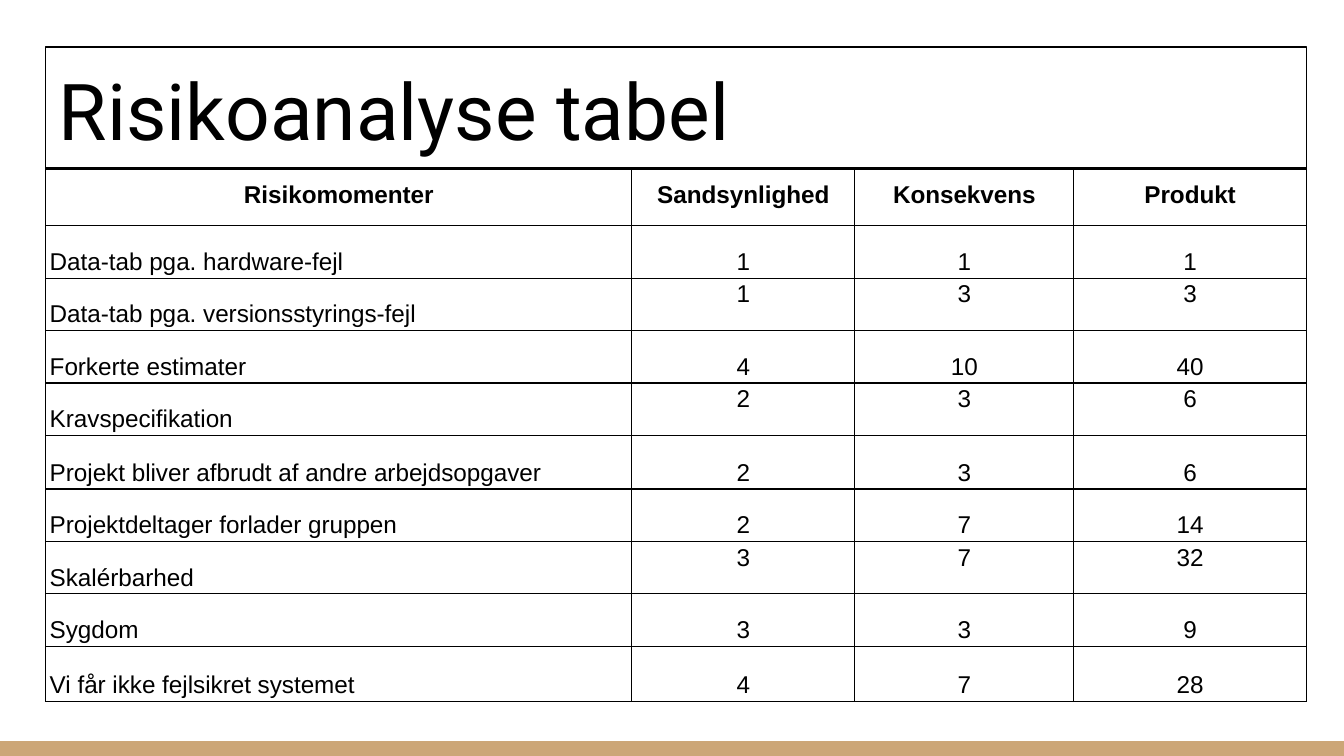
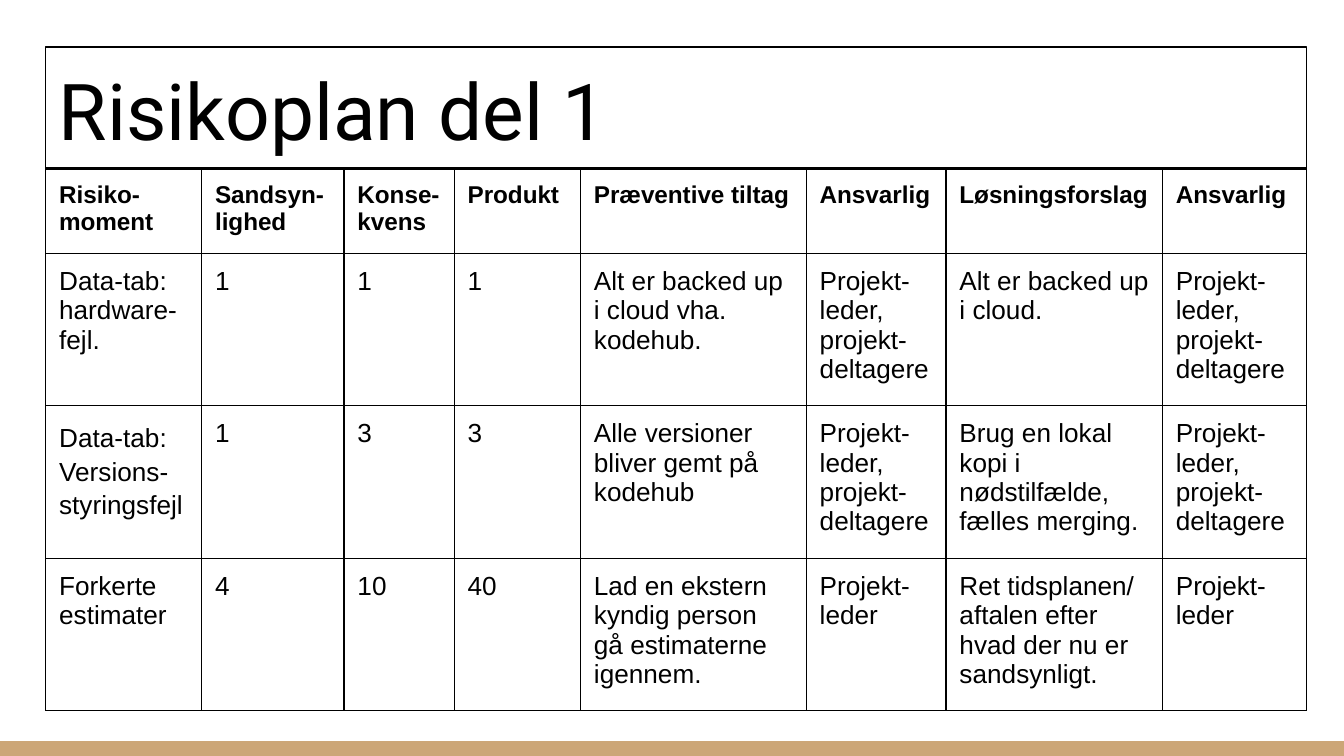
from lxml import etree
from pptx import Presentation
from pptx.dml.color import RGBColor
from pptx.enum.shapes import MSO_SHAPE
from pptx.enum.text import MSO_ANCHOR, PP_ALIGN
from pptx.oxml.ns import qn
from pptx.util import Inches, Pt

RECTANGLE = MSO_SHAPE.RECTANGLE
TOP, BOTTOM = MSO_ANCHOR.TOP, MSO_ANCHOR.BOTTOM
LEFT, CENTER = PP_ALIGN.LEFT, PP_ALIGN.CENTER

BLACK = RGBColor(0x00, 0x00, 0x00)
WHITE = RGBColor(0xFF, 0xFF, 0xFF)
SAND = RGBColor(0xCC, 0xA6, 0x77)
TITLE_FONT, BODY_FONT = "Roboto", "Arial"
BORDER = Pt(0.75)

PAGE_WIDTH, PAGE_HEIGHT = 10, 5.625
BAND_HEIGHT = 0.11
TABLE_LEFT, TITLE_TOP, TABLE_TOP = 0.34, 0.35, 1.25
CONTENT_WIDTH, TITLE_HEIGHT = 9.38, 0.91
WIDE_INSETS, TIGHT_INSETS = (0.1, 0.1), (0.03, 0.02)

ANALYSIS_TITLE = "Risikoanalyse tabel"
ANALYSIS_HEADERS = ["Risikomomenter", "Sandsynlighed", "Konsekvens", "Produkt"]
ANALYSIS_RISKS = [
    ("Data-tab pga. hardware-fejl", 1, 1, 1),
    ("Data-tab pga. versionsstyrings-fejl", 1, 3, 3),
    ("Forkerte estimater", 4, 10, 40),
    ("Kravspecifikation", 2, 3, 6),
    ("Projekt bliver afbrudt af andre arbejdsopgaver", 2, 3, 6),
    ("Projektdeltager forlader gruppen", 2, 7, 14),
    ("Skalérbarhed", 3, 7, 32),
    ("Sygdom", 3, 3, 9),
    ("Vi får ikke fejlsikret systemet", 4, 7, 28),
]
TOP_SCORED_RISKS = {
    "Data-tab pga. versionsstyrings-fejl", "Kravspecifikation", "Skalérbarhed",
}
ANALYSIS_COLUMNS = [4.36, 1.66, 1.63, 1.73]
ANALYSIS_ROWS = [0.43, 0.39, 0.39, 0.39, 0.39, 0.4, 0.39, 0.39, 0.39, 0.41]

PLAN_TITLE = "Risikoplan del 1"
LEADER = "Projekt-\nleder"
EVERYONE = "Projekt-\nleder, projekt-\ndeltagere"
VERSION_RISK = "Data-tab: Versions-\nstyringsfejl"
PLAN_HEADERS = [
    "Risiko-\nmoment", "Sandsyn-\nlighed", "Konse-\nkvens", "Produkt",
    "Præventive tiltag", "Ansvarlig", "Løsningsforslag", "Ansvarlig",
]
PLAN_RISKS = [
    ("Data-tab: hardware-\nfejl.", 1, 1, 1,
     "Alt er backed up i cloud vha. kodehub.", EVERYONE,
     "Alt er backed up i cloud.", EVERYONE),
    (VERSION_RISK, 1, 3, 3,
     "Alle versioner bliver gemt på kodehub", EVERYONE,
     "Brug en lokal kopi i nødstilfælde, fælles merging.", EVERYONE),
    ("Forkerte estimater", 4, 10, 40,
     "Lad en ekstern kyndig person gå estimaterne igennem.", LEADER,
     "Ret tidsplanen/\naftalen efter hvad der nu er sandsynligt.", LEADER),
]
PLAN_COLUMNS = [1.16, 1.06, 0.82, 0.94, 1.68, 1.04, 1.61, 1.07]
PLAN_ROWS = [0.58, 1.11, 1.11, 1.08]


def write(frame, text, font, size, bold=False, align=LEFT, spacing=1.0):
    for index, line in enumerate(str(text).split("\n")):
        para = frame.add_paragraph() if index else frame.paragraphs[0]
        para.alignment = align
        para.line_spacing = spacing
        span = para.add_run()
        span.text = line
        span.font.name = font
        span.font.size = Pt(size)
        span.font.bold = bold
        span.font.color.rgb = BLACK


def set_insets(target, insets):
    across, down = (Inches(inset) for inset in insets)
    target.margin_left = target.margin_right = across
    target.margin_top = target.margin_bottom = down


def draw_borders(cell):
    properties = cell._tc.get_or_add_tcPr()
    for side in ("lnL", "lnR", "lnT", "lnB"):
        line = etree.SubElement(properties, qn(f"a:{side}"), w=str(BORDER))
        fill = etree.SubElement(line, qn("a:solidFill"))
        etree.SubElement(fill, qn("a:srgbClr"), val=str(BLACK))


def add_page(deck, title):
    page = deck.slides.add_slide(deck.slide_layouts[6])
    page.background.fill.solid()
    page.background.fill.fore_color.rgb = WHITE
    band = page.shapes.add_shape(
        RECTANGLE, 0, Inches(PAGE_HEIGHT - BAND_HEIGHT),
        Inches(PAGE_WIDTH), Inches(BAND_HEIGHT))
    band.shadow.inherit = False
    band.fill.solid()
    band.fill.fore_color.rgb = SAND
    band.line.fill.background()

    box = page.shapes.add_textbox(
        Inches(TABLE_LEFT), Inches(TITLE_TOP),
        Inches(CONTENT_WIDTH), Inches(TITLE_HEIGHT))
    box.line.color.rgb = BLACK
    box.line.width = BORDER
    frame = box.text_frame
    frame.word_wrap = True
    frame.vertical_anchor = BOTTOM
    set_insets(frame, WIDE_INSETS)
    write(frame, title, TITLE_FONT, 42)
    return page


def add_grid(page, headers, risks, widths, heights, style_cell):
    table = page.shapes.add_table(
        len(heights), len(widths), Inches(TABLE_LEFT), Inches(TABLE_TOP),
        Inches(sum(widths)), Inches(sum(heights))).table
    table.first_row = table.horz_banding = False
    for column, width in zip(table.columns, widths):
        column.width = Inches(width)
    for row, height in zip(table.rows, heights):
        row.height = Inches(height)
    for row_index, values in enumerate([headers, *risks]):
        for column_index, value in enumerate(values):
            cell = table.cell(row_index, column_index)
            draw_borders(cell)
            cell.fill.background()
            insets, anchor, text_style = style_cell(
                row_index == 0, column_index, values[0])
            set_insets(cell, insets)
            cell.vertical_anchor = anchor
            write(cell.text_frame, value, BODY_FONT, **text_style)


def analysis_style(is_header, column_index, risk):
    if is_header:
        return WIDE_INSETS, TOP, dict(size=13, bold=True, align=CENTER)
    align = CENTER if column_index else LEFT
    if column_index and risk in TOP_SCORED_RISKS:
        return TIGHT_INSETS, TOP, dict(size=13, align=align)
    return TIGHT_INSETS, BOTTOM, dict(size=13, align=align, spacing=1.15)


def plan_style(is_header, column_index, risk):
    if is_header:
        return WIDE_INSETS, TOP, dict(size=13, bold=True)
    loose = column_index == 0 and risk == VERSION_RISK
    return WIDE_INSETS, TOP, dict(size=14, spacing=1.15 if loose else 1.0)


def main():
    deck = Presentation()
    deck.slide_width = Inches(PAGE_WIDTH)
    deck.slide_height = Inches(PAGE_HEIGHT)
    add_grid(add_page(deck, ANALYSIS_TITLE), ANALYSIS_HEADERS, ANALYSIS_RISKS,
             ANALYSIS_COLUMNS, ANALYSIS_ROWS, analysis_style)
    add_grid(add_page(deck, PLAN_TITLE), PLAN_HEADERS, PLAN_RISKS,
             PLAN_COLUMNS, PLAN_ROWS, plan_style)
    deck.save("out.pptx")


if __name__ == "__main__":
    main()
